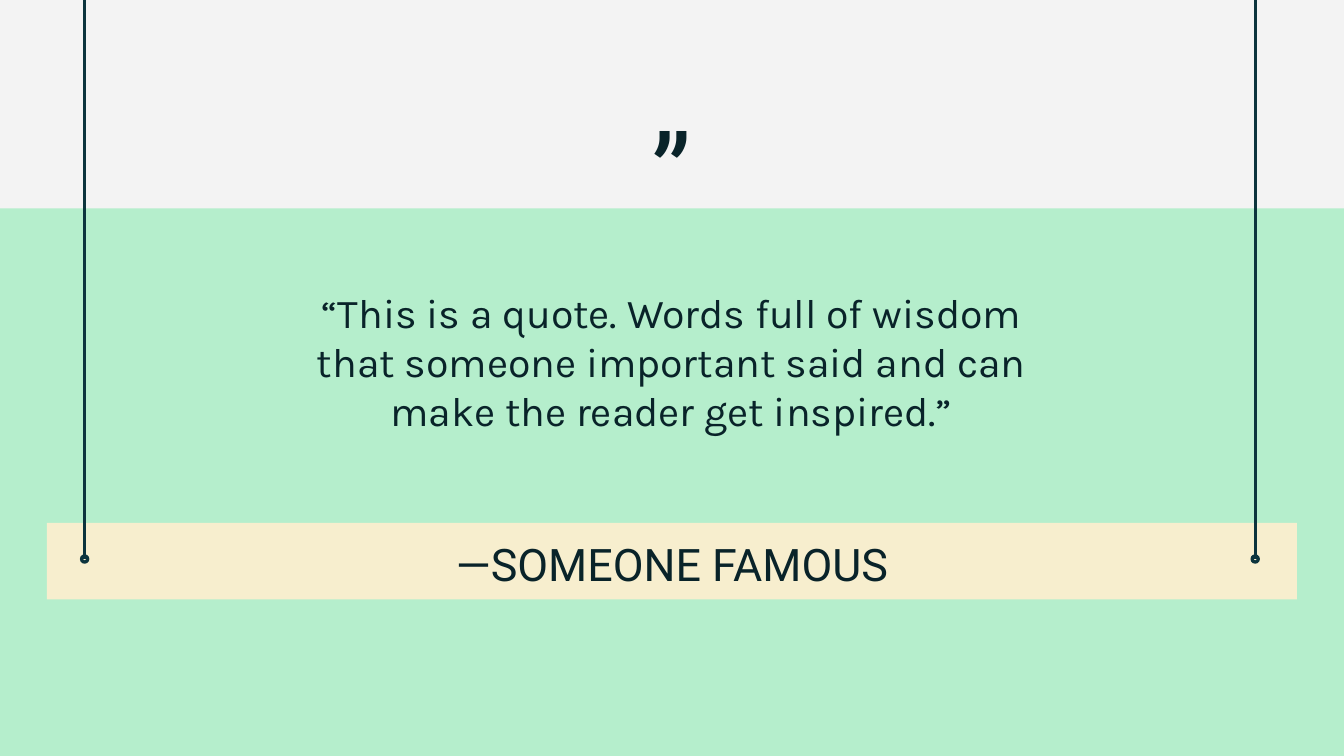
from pptx import Presentation
from pptx.dml.color import RGBColor
from pptx.enum.shapes import MSO_CONNECTOR as CONN, MSO_SHAPE as SHAPE
from pptx.enum.text import MSO_ANCHOR as ANCHOR, PP_ALIGN as ALIGN
from pptx.oxml.ns import qn
from pptx.util import Inches, Pt
from lxml import etree

GRAY = RGBColor(0xF3, 0xF3, 0xF3)
MINT = RGBColor(0xB5, 0xEE, 0xCC)
CREAM = RGBColor(0xF7, 0xEE, 0xCE)
INK = RGBColor(0x09, 0x23, 0x29)
TEAL = RGBColor(0x0C, 0x34, 0x3D)

prs = Presentation()
prs.slide_width = Inches(10)
prs.slide_height = Inches(10 * 9 / 16)
s = prs.slides.add_slide(prs.slide_layouts[6])
s.background.fill.solid()
s.background.fill.fore_color.rgb = GRAY


def add_filled(kind, x, y, w, h, color):
    sp = s.shapes.add_shape(kind, Inches(x), Inches(y), Inches(w), Inches(h))
    sp.shadow.inherit = False
    sp.fill.solid()
    sp.fill.fore_color.rgb = color
    sp.line.fill.background()
    return sp


def write(sp, text, font, size, anchor):
    tf = sp.text_frame
    tf.word_wrap = True
    tf.vertical_anchor = anchor
    tf.margin_left = tf.margin_right = Inches(0.1)
    tf.margin_top = tf.margin_bottom = Inches(0.1)
    p = tf.paragraphs[0]
    p.alignment = ALIGN.CENTER
    r = p.add_run()
    r.text = text
    r.font.name = font
    r.font.size = Pt(size)
    r.font.color.rgb = INK


add_filled(SHAPE.RECTANGLE, -0.03, 1.55, 10.05, 4.08, MINT)

author = add_filled(SHAPE.RECTANGLE, 0.35, 3.89, 9.3, 0.57, CREAM)
write(author, "—SOMEONE FAMOUS", "Roboto", 24, ANCHOR.TOP)

quote = s.shapes.add_textbox(Inches(2.02), Inches(1.99), Inches(5.95), Inches(1.39))
write(quote, "“This is a quote. Words full of wisdom that someone important "
      "said and can make the reader get inspired.”", "Karla", 22, ANCHOR.MIDDLE)

mark = s.shapes.add_textbox(Inches(2.02), Inches(0.67), Inches(5.95), Inches(0.57))
write(mark, "”", "Roboto", 60, ANCHOR.TOP)

for x in (0.63, 9.34):
    rod = s.shapes.add_connector(CONN.STRAIGHT, Inches(x), Inches(0), Inches(x), Inches(4.16))
    rod.line.color.rgb = TEAL
    rod.line.width = Pt(1.5)
    etree.SubElement(rod._element.spPr, qn("a:effectLst"))

    ring = add_filled(SHAPE.DONUT, x - 0.03, 4.13, 0.06, 0.06, TEAL)
    ring.line.color.rgb = TEAL
    ring.line.width = Pt(0.75)

prs.save("out.pptx")
